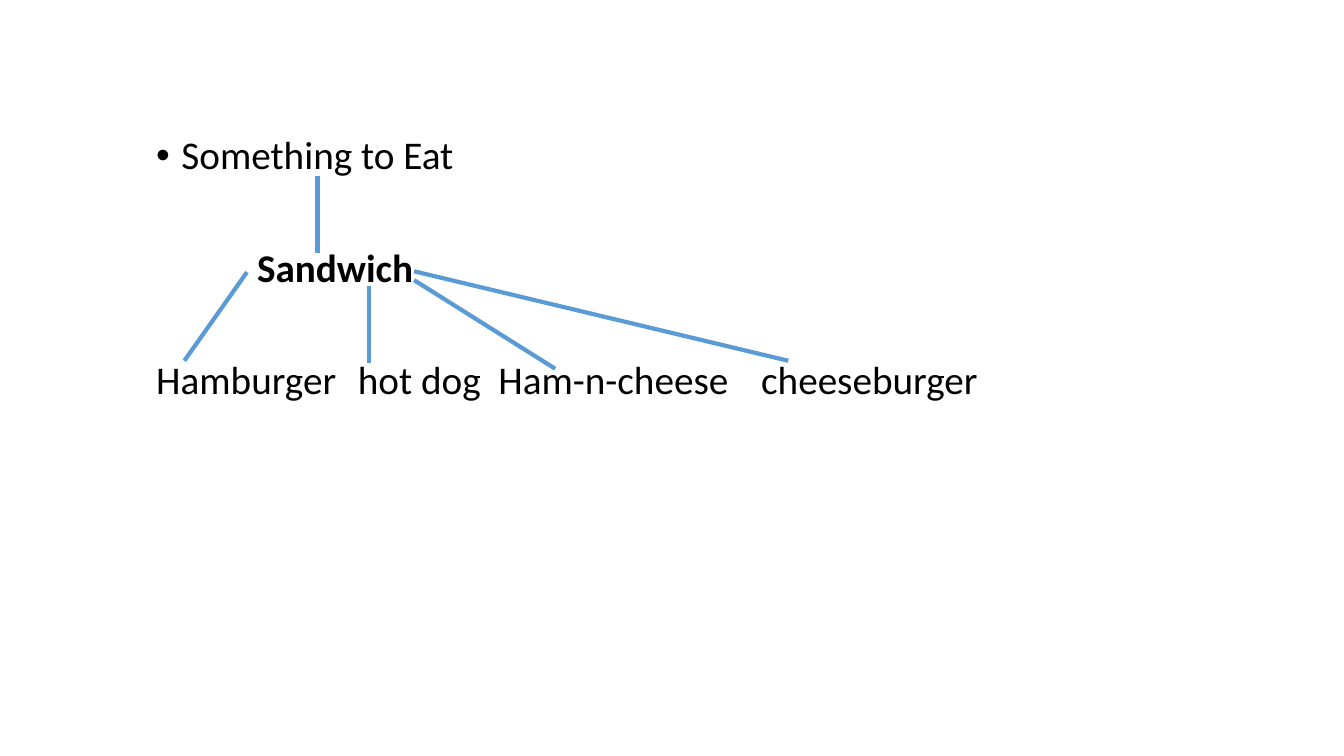
from lxml import etree
from pptx import Presentation, util as u
from pptx.dml.color import RGBColor
from pptx.enum import shapes, text
from pptx.oxml.ns import qn

INK = {"text": "000000", "line": "5B9BD5"}
WIDE, HIGH = u.Inches(13.33), u.Inches(7.5)
COL, ROW = WIDE / 32, HIGH / 18
TREE = (3.48, 3.12, 20.45, 11.36)
FONT = {"name": "Calibri", "size": u.Pt(28)}
LEVELS = (
    ("Something to Eat", 0.6, "•", False),
    ("Sandwich", 2.4, None, True),
    ("Hamburger\thot dog  Ham-n-cheese\tcheeseburger", 0, None, False),
)
LINKS = (
    (4.08, 1.08, 4.08, 2.9),
    (2.4, 3.36, 0.91, 5.47),
    (5.3, 3.7, 5.3, 5.52),
    (6.38, 3.55, 9.74, 5.66),
    (6.38, 3.34, 15.29, 5.47),
)


def put(obj, form):
    """Set every attribute named in a dict of format values."""
    for key, val in form.items():
        setattr(obj, key, val)


def indent(para, cols, dot):
    """Indent a paragraph by grid columns, with a hanging bullet if given."""
    props = para._p.get_or_add_pPr()
    props.set("marL", str(int(cols * COL)))
    props.set("indent", str(-int(cols * COL) if dot else 0))
    if dot:
        etree.SubElement(props, qn("a:buFont")).set("typeface", "Arial")
        etree.SubElement(props, qn("a:buChar")).set("char", dot)
    else:
        etree.SubElement(props, qn("a:buNone"))


def words(body, box):
    """Write the levels of the tree into the body placeholder."""
    left, top, wide, high = box
    put(body, {"left": int(left * COL), "top": int(top * ROW),
               "width": int(wide * COL), "height": int(high * ROW)})
    frame = body.text_frame
    put(frame, {"word_wrap": True, "auto_size": text.MSO_AUTO_SIZE.NONE,
                "vertical_anchor": text.MSO_ANCHOR.TOP})
    for num, (line, cols, dot, bold) in enumerate(LEVELS):
        para = frame.add_paragraph() if num else frame.paragraphs[0]
        indent(para, cols, dot)
        put(para, {"line_spacing": 0.9, "space_before": u.Pt(50 if num else 0),
                   "space_after": u.Pt(0), "alignment": text.PP_ALIGN.LEFT})
        run = para.add_run()
        run.text = line
        put(run.font, {**FONT, "bold": bold})
        run.font.color.rgb = RGBColor.from_string(INK["text"])


def links(slide, box):
    """Draw the branches between the levels, placed from the box corner."""
    left, top = box[:2]
    for x1, y1, x2, y2 in LINKS:
        link = slide.shapes.add_connector(
            shapes.MSO_CONNECTOR.STRAIGHT,
            int((left + x1) * COL), int((top + y1) * ROW),
            int((left + x2) * COL), int((top + y2) * ROW))
        link.line.width = u.Pt(3)
        link.line.color.rgb = RGBColor.from_string(INK["line"])
        etree.SubElement(link._element.spPr, qn("a:effectLst"))


def main():
    """Build the slide and save it."""
    deck = Presentation()
    put(deck, {"slide_width": WIDE, "slide_height": HIGH})
    slide = deck.slides.add_slide(deck.slide_layouts[1])
    title = slide.shapes.title._element
    title.getparent().remove(title)
    words(slide.placeholders[1], TREE)
    links(slide, TREE)
    deck.save("out.pptx")


if __name__ == "__main__":
    main()
